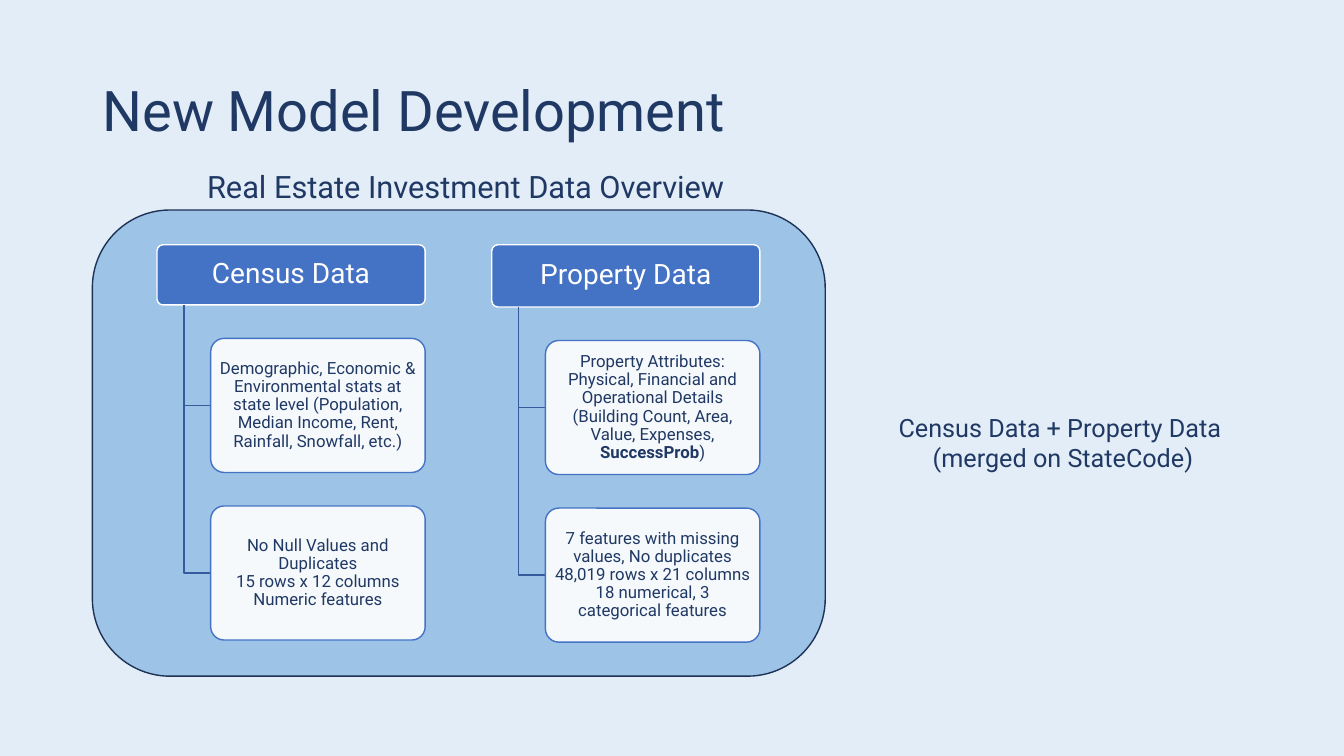
import pptx
import pptx.util
import pptx.dml.color
import pptx.enum.shapes
import pptx.enum.text

Pt = pptx.util.Pt
ROUNDED = pptx.enum.shapes.MSO_SHAPE.ROUNDED_RECTANGLE
CENTER = pptx.enum.text.PP_ALIGN.CENTER
MIDDLE = pptx.enum.text.MSO_ANCHOR.MIDDLE
COLORS = {"background": "E2EDF7", "panel": "9DC3E6", "panel line": "1E3256",
          "blue": "4472C4", "branch": "365B9D", "card": "F5F9FC",
          "navy": "203864", "white": "FFFFFF"}
COLORS = {name: pptx.dml.color.RGBColor.from_string(value) for name, value in COLORS.items()}


def add_rounded(left, top, width, height, fill, line, corner):
    box = slide.shapes.add_shape(ROUNDED, Pt(left), Pt(top), Pt(width), Pt(height))
    box.adjustments[0] = corner
    box.shadow.inherit = False
    box.fill.solid()
    box.fill.fore_color.rgb = COLORS[fill]
    box.line.color.rgb = COLORS[line]
    box.line.width = Pt(1)
    frame = box.text_frame
    frame.word_wrap = True
    frame.vertical_anchor = MIDDLE
    frame.margin_left = frame.margin_right = Pt(2.3)
    frame.margin_top = frame.margin_bottom = Pt(1.5)
    return box


def write_line(paragraph, pieces, size, color, spacing=None, align=CENTER):
    """Write (text, bold) pieces; None stands for a line break."""
    paragraph.alignment = align
    paragraph.line_spacing = spacing
    for piece in pieces:
        if piece is None:
            paragraph.add_line_break()
            continue
        run = paragraph.add_run()
        run.text, run.font.bold = piece
        run.font.name = "Roboto"
        run.font.size = Pt(size)
        run.font.color.rgb = COLORS[color]


deck = pptx.Presentation()
deck.slide_width, deck.slide_height = Pt(960), Pt(540)
slide = deck.slides.add_slide(deck.slide_layouts[5])
slide.background.fill.solid()
slide.background.fill.fore_color.rgb = COLORS["background"]

# Title
title = slide.shapes.title
title.left, title.top, title.width, title.height = Pt(66), Pt(28.75), Pt(828), Pt(104.4)
title.text_frame.word_wrap = True
title.text_frame.vertical_anchor = MIDDLE
write_line(title.text_frame.paragraphs[0], [("New Model Development", False)], 40, "navy", 0.9,
           pptx.enum.text.PP_ALIGN.LEFT)

# Panel behind both datasets
add_rounded(66, 150, 523.5, 333, "panel", "panel line", 0.1667)

# Datasets: heading, heading height, cards
datasets = [
    ("Census Data", 43, [
        [("Demographic, Economic & Environmental stats at state level "
          "(Population, Median Income, Rent, Rainfall, Snowfall, etc.)", False)],
        [("No Null Values and Duplicates", False), None,
         ("15 rows x 12 columns", False), None,
         ("Numeric features", False)],
    ]),
    ("Property Data", 44.5, [
        [("Property Attributes: Physical, Financial and Operational Details "
          "(Building Count, Area, Value, Expenses, ", False),
         ("SuccessProb", True), (")", False)],
        [("7 features with missing values, No duplicates", False), None,
         ("48,019 rows x 21 columns", False), None,
         ("18 numerical, 3 categorical features", False)],
    ]),
]
heading_top, heading_width, column_pitch = 174.8, 191.5, 239.1
card_width, card_height, card_gap = 153.2, 95.75, 23.95
for column, (name, heading_height, cards) in enumerate(datasets):
    left = 112.2 + column * column_pitch
    heading_bottom = heading_top + heading_height
    heading = add_rounded(left, heading_top, heading_width, heading_height, "blue", "white", 0.1)
    write_line(heading.text_frame.paragraphs[0], [(name, False)], 20, "white", 0.9)

    trunk_x = left + heading_width * 0.1
    card_left = left + heading_width - card_width
    for row, pieces in enumerate(cards):
        card_top = heading_bottom + card_gap + row * (card_height + card_gap)
        card_middle = card_top + card_height / 2

        # Elbow from the heading down to the card
        elbow = slide.shapes.build_freeform(Pt(trunk_x), Pt(heading_bottom))
        elbow.add_line_segments([(Pt(trunk_x), Pt(card_middle)),
                                 (Pt(card_left), Pt(card_middle))], close=False)
        branch = elbow.convert_to_shape()
        branch.shadow.inherit = False
        branch.fill.background()
        branch.line.color.rgb = COLORS["branch"]
        branch.line.width = Pt(1)

        card = add_rounded(card_left, card_top, card_width, card_height, "card", "blue", 0.1)
        write_line(card.text_frame.paragraphs[0], pieces, 12, "navy", 0.9)

# Panel caption and merge note
captions = [
    ((122.4, 116, 420.5, 34), 22, ["Real Estate Investment Data Overview"]),
    ((595.5, 291, 327.6, 51), 18, ["Census Data + Property Data ", "(merged on StateCode)"]),
]
for bounds, size, lines in captions:
    caption = slide.shapes.add_textbox(*[Pt(value) for value in bounds]).text_frame
    caption.word_wrap = True
    for index, line in enumerate(lines):
        paragraph = caption.add_paragraph() if index else caption.paragraphs[0]
        write_line(paragraph, [(line, False)], size, "navy")

deck.save("out.pptx")
